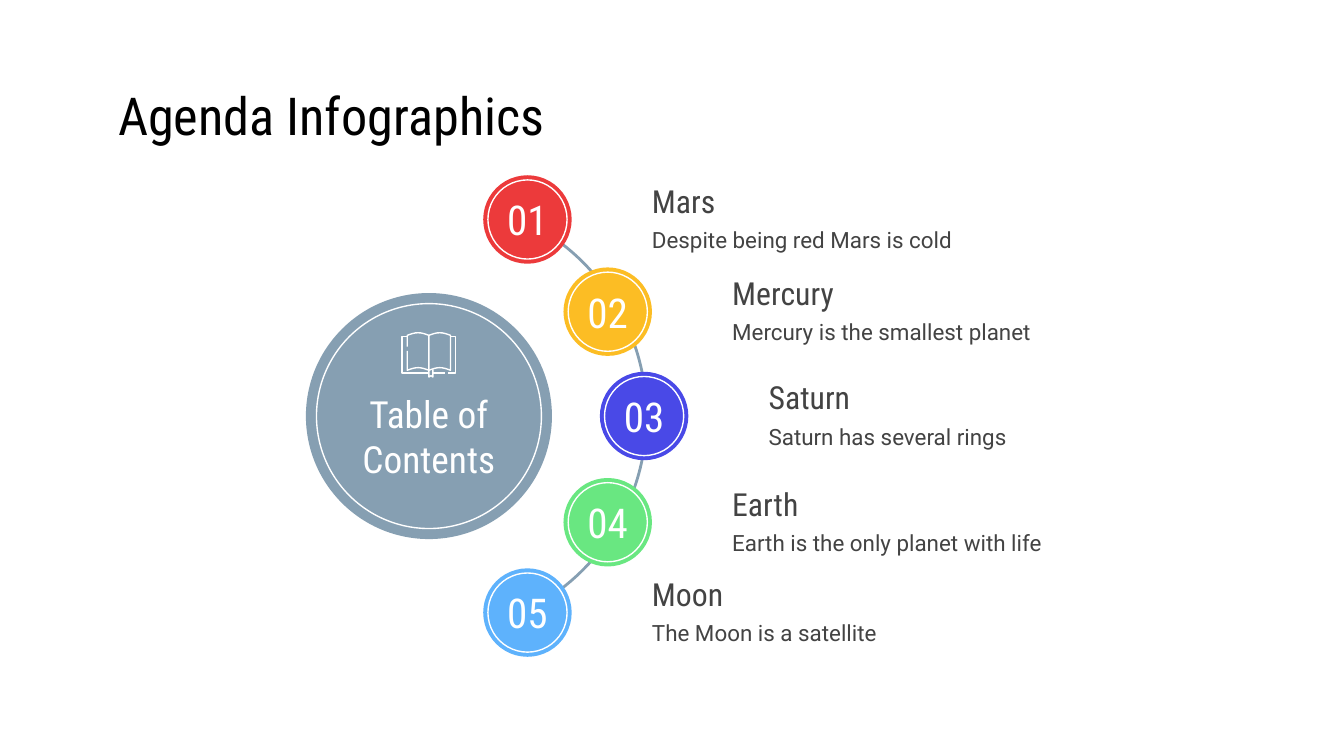
from math import pi, sin

from pptx import Presentation
from pptx.dml.color import RGBColor
from pptx.enum.shapes import MSO_SHAPE
from pptx.enum.text import MSO_ANCHOR, PP_ALIGN
from pptx.util import Pt

COLORS = {
    "title": "000000", "text": "434343", "white": "FFFFFF", "hub": "869FB2",
    "red": "EC3A3B", "yellow": "FCBD24", "blue": "4949E7",
    "green": "69E781", "sky": "5EB2FC",
}
HEADING_FONT = "Roboto Condensed"
BODY_FONT = "Roboto"
HUB_CENTER = (229.8, 222.9)

# Number, heading, description, colour, centre of the disc
TOPICS = [
    ("01", "Mars", "Despite being red Mars is cold", "red", (282.6, 117.6)),
    ("02", "Mercury", "Mercury is the smallest planet", "yellow", (325.6, 167)),
    ("03", "Saturn", "Saturn has several rings", "blue", (345.1, 222.9)),
    ("04", "Earth", "Earth is the only planet with life", "green", (325.6, 279.8)),
    ("05", "Moon", "The Moon is a satellite", "sky", (282.6, 328.2)),
]


def color(name):
    return RGBColor.from_string(COLORS[name])


def write(shape, text, size, color_name, font=HEADING_FONT,
          align=PP_ALIGN.LEFT, insets=(7.2, 7.2, 7.2, 7.2)):
    """Fill a shape with text; insets run left, top, right, bottom."""
    frame = shape.text_frame
    frame.word_wrap = True
    frame.vertical_anchor = MSO_ANCHOR.MIDDLE
    (frame.margin_left, frame.margin_top,
     frame.margin_right, frame.margin_bottom) = map(Pt, insets)
    frame.text = text
    paragraph = frame.paragraphs[0]
    paragraph.alignment = align
    paragraph.font.name = font
    paragraph.font.size = Pt(size)
    paragraph.font.color.rgb = color(color_name)


def add_text(slide, box, text, size, color_name, font=HEADING_FONT):
    write(slide.shapes.add_textbox(*map(Pt, box)), text, size, color_name, font)


def paint(shape, fill=None, line=None, width=0.75):
    shape.shadow.inherit = False
    if fill:
        shape.fill.solid()
        shape.fill.fore_color.rgb = color(fill)
    else:
        shape.fill.background()
    if line:
        shape.line.color.rgb = color(line)
        shape.line.width = Pt(width)
    else:
        shape.line.fill.background()


def add_round(slide, center, diameter, kind=MSO_SHAPE.OVAL, **style):
    left, top = (middle - diameter / 2 for middle in center)
    shape = slide.shapes.add_shape(
        kind, Pt(left), Pt(top), Pt(diameter), Pt(diameter))
    paint(shape, **style)
    return shape


def add_orbit(slide, center, diameter):
    arc = add_round(slide, center, diameter, MSO_SHAPE.ARC, line="hub", width=1.5)
    # Angles are in 60000ths of a degree, adjustments in 100000ths
    for index, degrees in enumerate((297, 64)):
        arc.adjustments[index] = degrees * 0.6


def add_book(slide, left, top):
    def page_edge(start, y):
        return [(start + 11.6 * step / 8, y - 1.4 * sin(pi * step / 8))
                for step in range(9)]

    strokes = [
        # Left cover, left page, right page
        [(14.5, 22), (0.4, 22), (0.4, 2.5), (3.2, 2.5)],
        [(3.2, 7.9)] + page_edge(3.2, 1.8)
        + page_edge(3.2, 20.5)[::-1] + [(3.2, 10.1)],
        page_edge(14.8, 1.8) + page_edge(14.8, 20.5)[::-1],
        # Right cover in two pieces, bookmark
        [(26.4, 2.5), (29.2, 2.5), (29.2, 22), (25, 22)],
        [(23.4, 22), (16.9, 22)],
        [(14.8, 20.5), (14.8, 24.1), (15.9, 23.4), (16.9, 24.1), (16.9, 20)],
    ]
    strokes = [[(Pt(left + x), Pt(top + y)) for x, y in stroke]
               for stroke in strokes]
    builder = slide.shapes.build_freeform(*strokes[0][0])
    for number, (start, *rest) in enumerate(strokes):
        if number:
            builder.move_to(*start)
        builder.add_line_segments(rest, close=False)
    paint(builder.convert_to_shape(), line="white")


def add_hub(slide, center):
    add_round(slide, center, 131.8, fill="hub")
    ring = add_round(slide, center, 120.5, line="white")
    write(ring, "Table of\vContents", 20, "white",
          align=PP_ALIGN.CENTER, insets=(0, 28.8, 0, 7.2))
    add_book(slide, center[0] - 14.8, center[1] - 45)


def add_topic(slide, center, number, heading, description, color_name):
    x, y = center
    # Numbered disc
    add_round(slide, center, 47.4, fill=color_name)
    ring = add_round(slide, center, 42.4, line="white")
    write(ring, number, 22, "white", align=PP_ALIGN.CENTER, insets=(0, 0, 0, 0))
    # Heading and description
    add_text(slide, (x + 59.6, y - 24.5, 204.5, 28.8), heading, 17, "text")
    add_text(slide, (x + 59.6, y - 3.6, 204.5, 28.8), description, 12, "text",
             BODY_FONT)


def main():
    presentation = Presentation()
    presentation.slide_width, presentation.slide_height = Pt(720), Pt(405)
    slide = presentation.slides.add_slide(presentation.slide_layouts[6])

    add_orbit(slide, HUB_CENTER, 233.2)
    add_hub(slide, HUB_CENTER)
    add_text(slide, (56.2, 42.5, 608.4, 38.2), "Agenda Infographics", 28, "title")
    for number, heading, description, color_name, center in TOPICS:
        add_topic(slide, center, number, heading, description, color_name)

    presentation.save("out.pptx")


if __name__ == "__main__":
    main()
